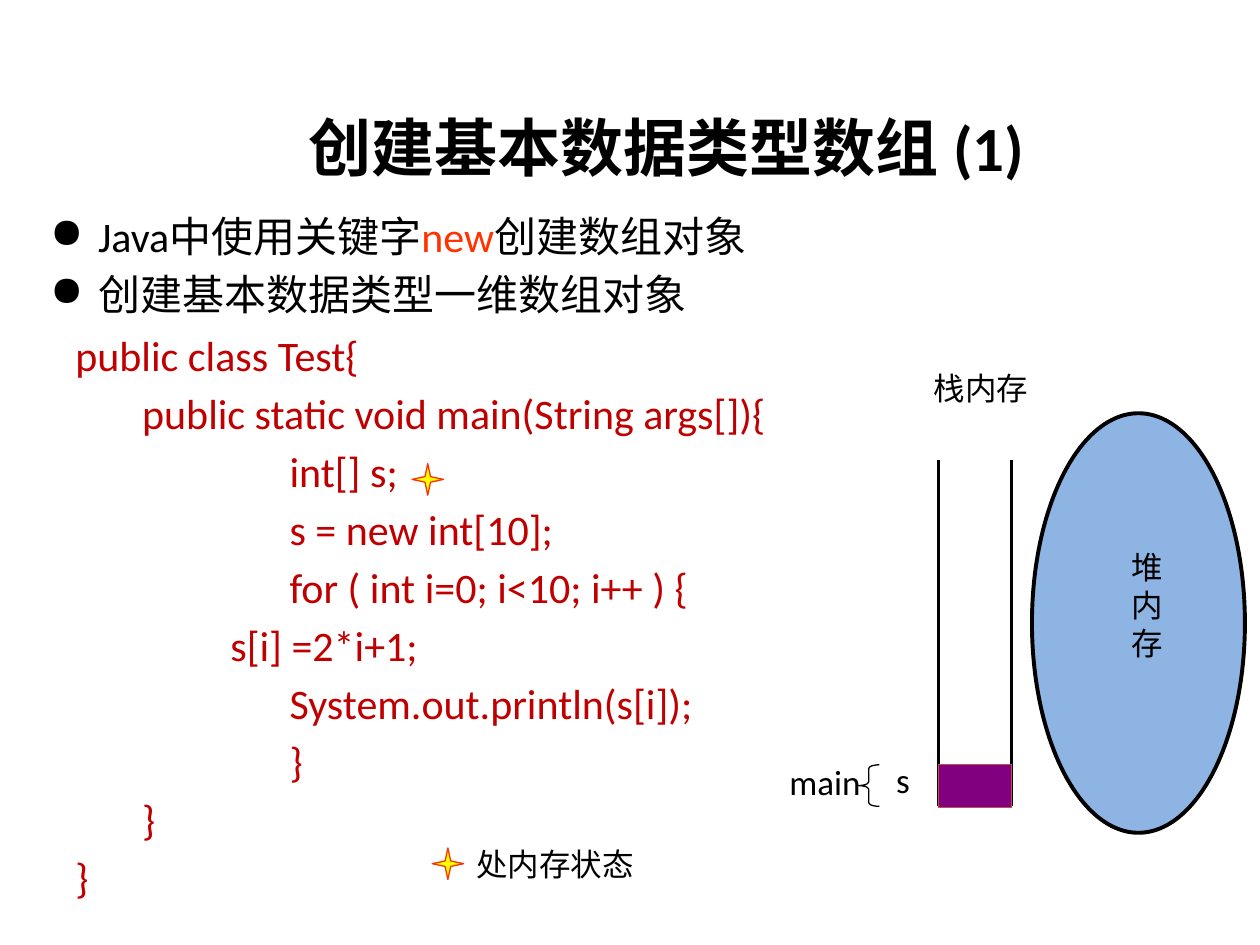
from dataclasses import dataclass

from pptx import Presentation
from pptx import util as u
from pptx.dml.color import RGBColor
from pptx.enum import shapes, text
from pptx.oxml.ns import qn
from lxml import etree


@dataclass(frozen=True)
class Theme:
    font: str = "Calibri"
    ink: str = "000000"
    code: str = "C00000"
    accent: str = "FF3300"
    star: str = "FFFF00"
    heap: str = "8EB4E3"
    frame: str = "800080"
    frame_edge: str = "C0504D"
    title_size: int = 36
    body_size: int = 24
    name_size: int = 20
    label_size: int = 18
    paragraph_gap: float = 4.3


def box(left, top, width, height):
    return [u.Inches(length) for length in (left, top, width, height)]


class SlideBuilder:
    def __init__(self, deck, theme):
        self.theme = theme
        self.slide = deck.slides.add_slide(deck.slide_layouts[5])

    def style(self, run, size, color=None, bold=False):
        run.font.name = self.theme.font
        run.font.size = u.Pt(size)
        run.font.bold = bold
        run.font.color.rgb = RGBColor.from_string(color or self.theme.ink)

    def title(self, words, area):
        heading = self.slide.shapes.title
        heading.left, heading.top, heading.width, heading.height = box(*area)
        frame = heading.text_frame
        frame.text = words
        frame.vertical_anchor = text.MSO_ANCHOR.MIDDLE
        frame.paragraphs[0].alignment = text.PP_ALIGN.CENTER
        self.style(frame.paragraphs[0].runs[0], self.theme.title_size, bold=True)

    def frame(self, area):
        frame = self.slide.shapes.add_textbox(*box(*area)).text_frame
        frame.word_wrap = True
        return frame

    def label(self, words, area, size, padding=0.05):
        frame = self.frame(area)
        frame.margin_top = frame.margin_bottom = u.Inches(padding)
        frame.text = words
        frame.paragraphs[0].alignment = text.PP_ALIGN.RIGHT
        self.style(frame.paragraphs[0].runs[0], size)

    def indent(self, paragraph, left, first=0.0):
        paragraph.space_before = u.Pt(self.theme.paragraph_gap)
        properties = paragraph._p.get_or_add_pPr()
        properties.set("marL", str(u.Inches(left)))
        properties.set("indent", str(u.Inches(first)))
        return properties

    def bullets(self, items, area):
        frame = self.frame(area)
        frame.text = "\n".join("".join(words for words, _ in item) for item in items)
        for paragraph, item in zip(frame.paragraphs, items):
            properties = self.indent(paragraph, 0.38, -0.38)
            etree.SubElement(properties, qn("a:buChar")).set("char", "●")
            paragraph.runs[0].text = item[0][0]
            for words, _ in item[1:]:
                paragraph.add_run().text = words
            for run, (_, color) in zip(paragraph.runs, item):
                self.style(run, self.theme.body_size, color)

    def code(self, lines, area):
        frame = self.frame(area)
        frame.text = "\n".join(line for _, line in lines)
        for paragraph, (left, _) in zip(frame.paragraphs, lines):
            self.indent(paragraph, left)
            self.style(paragraph.runs[0], self.theme.body_size, self.theme.code)

    def shape(self, kind, area, line, weight, fill=None, adjustments=()):
        figure = self.slide.shapes.add_shape(kind, *box(*area))
        figure.shadow.inherit = False
        if fill:
            figure.fill.solid()
            figure.fill.fore_color.rgb = RGBColor.from_string(fill)
        else:
            figure.fill.background()
        figure.line.color.rgb = RGBColor.from_string(line)
        figure.line.width = u.Pt(weight)
        for index, value in enumerate(adjustments):
            figure.adjustments[index] = value
        return figure

    def star(self, left, top):
        self.shape(shapes.MSO_SHAPE.STAR_4_POINT, (left, top, 0.25, 0.25),
                   self.theme.accent, 0.75, self.theme.star, (0.125,))

    def vertical(self, x, top, bottom):
        wall = self.slide.shapes.add_connector(
            shapes.MSO_CONNECTOR.STRAIGHT,
            u.Inches(x), u.Inches(top), u.Inches(x), u.Inches(bottom))
        wall.line.color.rgb = RGBColor.from_string(self.theme.ink)
        wall.line.width = u.Pt(1.5)
        etree.SubElement(wall._element.spPr, qn("a:effectLst"))
        return wall

    def stack(self, left, top, width, bottom, frame_top):
        walls = [self.vertical(x, top, bottom) for x in (left, left + width)]
        main_frame = self.shape(
            shapes.MSO_SHAPE.RECTANGLE, (left, frame_top, width, 0.34),
            self.theme.frame_edge, 0.75, self.theme.frame)
        self.slide.shapes.add_group_shape(walls + [main_frame])


def main():
    theme = Theme()
    deck = Presentation()
    deck.slide_width, deck.slide_height = u.Inches(10), u.Inches(7.5)
    page = SlideBuilder(deck, theme)

    page.title("创建基本数据类型数组 (1)", (1.93, 0.7, 6.72, 0.92))
    class_level, method_level, loop_level, body_level = 0.3, 0.83, 1.53, 2.0
    page.code([
        (class_level, "public class Test{"),
        (method_level, "public static void main(String args[]){"),
        (body_level, "int[] s;"),
        (body_level, "s = new int[10];"),
        (body_level, "for ( int i=0; i<10; i++ ) {"),
        (loop_level, "s[i] =2*i+1;"),
        (body_level, "System.out.println(s[i]);"),
        (body_level, "}"),
        (method_level, "}"),
        (class_level, "}"),
    ], (0.2, 2.57, 7.34, 4.87))
    page.bullets([
        [("Java中使用关键字", theme.ink), ("new", theme.accent), ("创建数组对象", theme.ink)],
        [("创建基本数据类型一维数组对象", theme.ink)],
    ], (0.3, 1.62, 7.48, 0.99))

    page.shape(shapes.MSO_SHAPE.LEFT_BRACE, (6.81, 6.07, 0.17, 0.33),
               theme.ink, 0.75, adjustments=(0.167, 0.5))
    page.label("main", (5.93, 5.99, 1, 0.43), theme.name_size)
    page.label("栈内存", (6.93, 2.88, 1.33, 0.4), theme.label_size)
    page.stack(left=7.45, top=3.65, width=0.58, bottom=6.4, frame_top=6.07)
    page.label("s", (6.82, 6.02, 0.5, 0.33), theme.name_size, padding=0)

    page.shape(shapes.MSO_SHAPE.OVAL, (8.19, 3.28, 1.69, 3.33),
               theme.ink, 2.25, theme.heap)
    page.label("堆内存", (8.88, 4.3, 0.42, 1.01), theme.label_size)

    page.star(3.27, 3.68)
    page.label("处内存状态", (2.96, 6.71, 2.17, 0.3), theme.label_size, padding=0)
    page.star(3.43, 6.73)

    deck.save("out.pptx")


if __name__ == "__main__":
    main()
